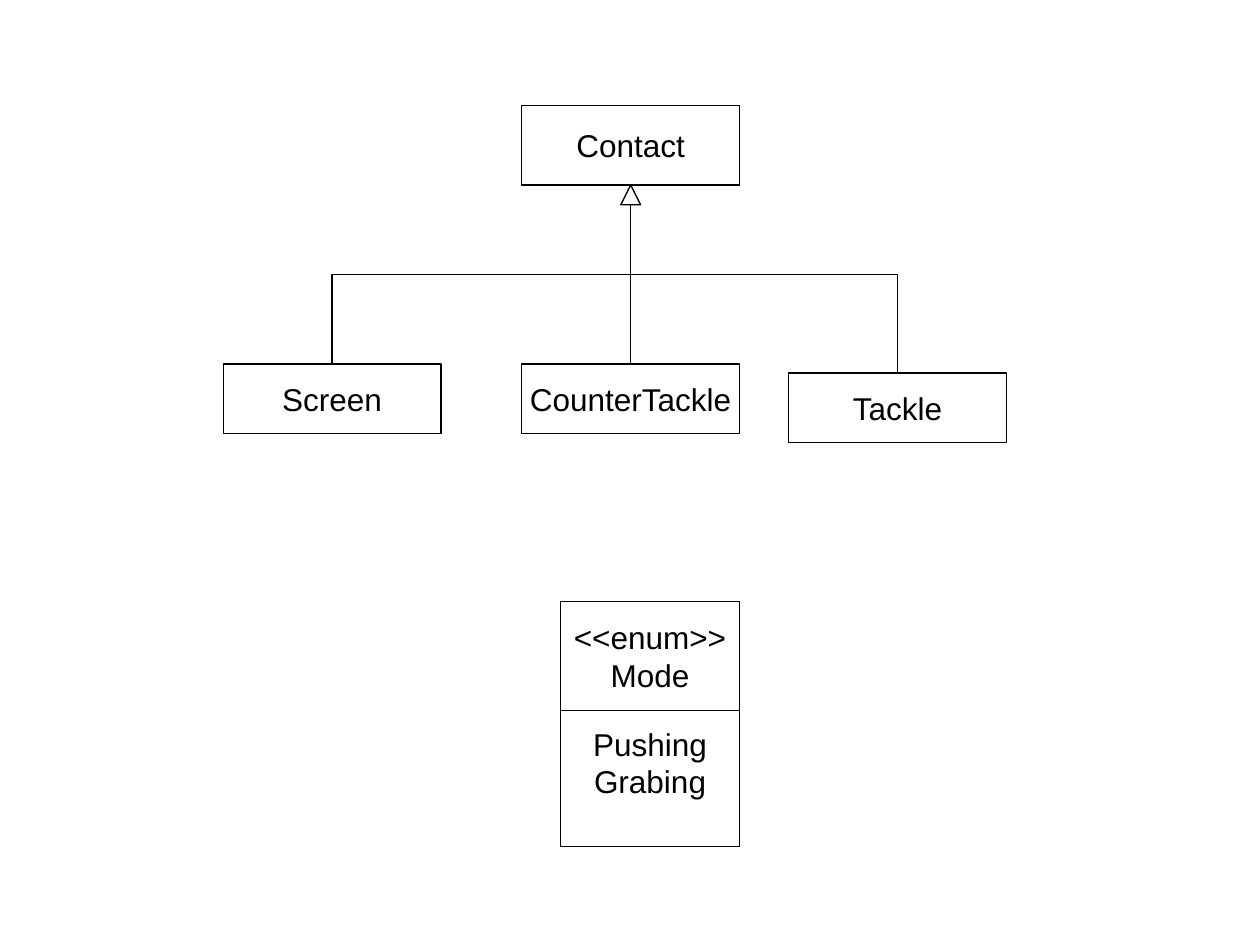
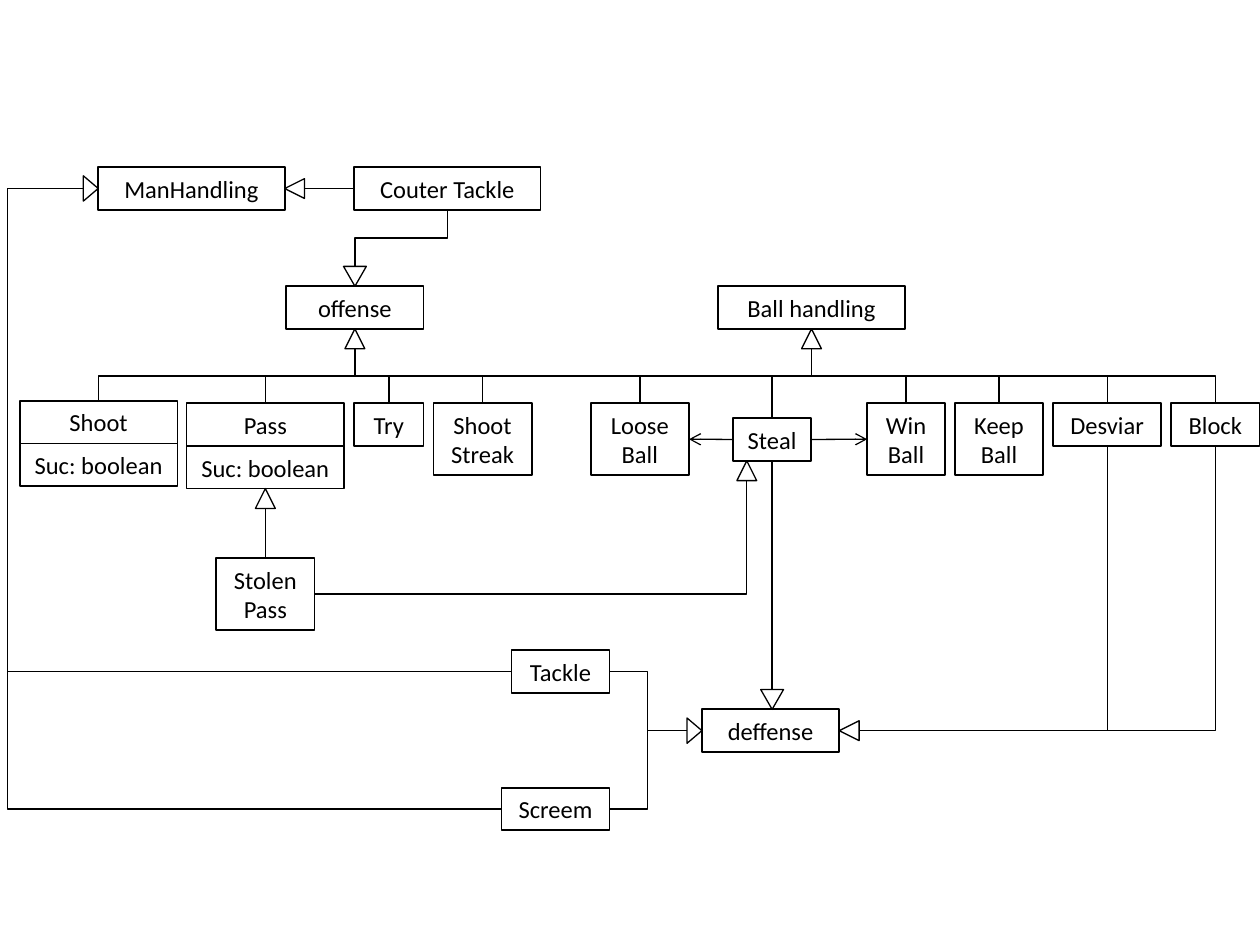
from collections import namedtuple
from dataclasses import dataclass

from lxml.etree import SubElement
from pptx import Presentation
from pptx.dml.color import RGBColor
from pptx.enum.shapes import MSO_CONNECTOR as LINE, MSO_SHAPE as SHAPE
from pptx.enum.text import MSO_ANCHOR as ANCHOR, MSO_AUTO_SIZE as FIT, PP_ALIGN as ALIGN
from pptx.oxml.ns import qn
from pptx.util import Cm, Pt

TOP, LEFT, BOTTOM, RIGHT = range(4)
OUTWARD = {TOP: (0, -1), LEFT: (-1, 0), BOTTOM: (0, 1), RIGHT: (1, 0)}

# Arrowhead on each side of a class box: rotation, base and height
HEADS = {
    TOP: (180, Cm(0.46), Cm(0.4)),
    LEFT: (90, Cm(0.51), Cm(0.3)),
    BOTTOM: (0, Cm(0.4), Cm(0.4)),
    RIGHT: (270, Cm(0.4), Cm(0.4)),
}

Style = namedtuple("Style", "font size border fill wrap fit")
Point = namedtuple("Point", "x y")


@dataclass(frozen=True)
class Theme:
    ink = RGBColor(0, 0, 0)
    paper = RGBColor(255, 255, 255)
    line = Pt(0.75)
    contact = Style("Arial", Pt(18), Pt(0.75), paper, False, FIT.NONE)
    action = Style("Calibri", Pt(14), Pt(1), None, True, FIT.SHAPE_TO_FIT_TEXT)
    one_line, two_lines = Cm(0.86), Cm(1.45)
    gap = Cm(0.2)


THEME = Theme()


def paint(sp, fill, border):
    sp.shadow.inherit = False
    if fill is None:
        sp.fill.background()
    else:
        sp.fill.solid()
        sp.fill.fore_color.rgb = fill
    sp.line.color.rgb = THEME.ink
    sp.line.width = border


def class_box(slide, left, top, width, height, text, style):
    sp = slide.shapes.add_shape(SHAPE.RECTANGLE, left, top, width, height)
    paint(sp, style.fill, style.border)
    tf = sp.text_frame
    tf.text = text
    tf.word_wrap = style.wrap
    tf.auto_size = style.fit
    tf.vertical_anchor = ANCHOR.MIDDLE
    for p in tf.paragraphs:
        p.alignment = ALIGN.CENTER
        for r in p.runs:
            r.font.name = style.font
            r.font.size = style.size
            r.font.color.rgb = THEME.ink
    return sp


def action_box(slide, left, top, width, text, lines=1):
    height = THEME.one_line if lines == 1 else THEME.two_lines
    return class_box(slide, left, top, width, height, text, THEME.action)


def action_row(slide, left, top, entries):
    """Place (text, width, lines) entries side by side with an equal gap."""
    boxes = []
    for text, width, lines in entries:
        boxes.append(action_box(slide, left, top, width, text, lines))
        left += width + THEME.gap
    return boxes


def action_with_result(slide, left, top, name):
    """Stack a class name on its attribute; return both boxes."""
    return [action_box(slide, left, top + i * THEME.one_line, Cm(3.18), text)
            for i, text in enumerate((name, "Suc: boolean"))]


def side_middle(sp, side):
    dx, dy = OUTWARD[side]
    return Point(sp.left + sp.width * (1 + dx) // 2, sp.top + sp.height * (1 + dy) // 2)


def head(slide, parent, side, shift=0, shape=SHAPE.ISOSCELES_TRIANGLE, fill=None):
    """Put an inheritance arrowhead on a side of parent; return its base point."""
    rotation, width, height = HEADS[side]
    dx, dy = OUTWARD[side]
    tip = side_middle(parent, side)
    x, y = tip.x + shift + dx * height // 2, tip.y + dy * height // 2
    sp = slide.shapes.add_shape(shape, x - width // 2, y - height // 2, width, height)
    sp.rotation = rotation
    paint(sp, fill, THEME.line)
    return Point(tip.x + shift + dx * height, tip.y + dy * height)


def connector(slide, kind, start, end, arrow=None):
    cxn = slide.shapes.add_connector(kind, *start, *end)
    cxn.line.color.rgb = THEME.ink
    cxn.line.width = THEME.line
    if arrow:
        SubElement(cxn.line._get_or_add_ln(), qn("a:tailEnd"), type=arrow)
    SubElement(cxn._element.spPr, qn("a:effectLst"))
    return cxn


def straight(slide, box, side, end, arrow=None):
    """Join the middle of a box's side to a point, or to a (box, side) pair."""
    joined = not isinstance(end, Point)
    target = side_middle(*end) if joined else end
    cxn = connector(slide, LINE.STRAIGHT, side_middle(box, side), target, arrow)
    cxn.begin_connect(box, side)
    if joined:
        cxn.end_connect(*end)


def bend_at(cxn, share):
    cxn._element.spPr.prstGeom.rewrite_guides([("adj1", round(share * 100000))])


def across_elbow(slide, start, end, via_x):
    """Run horizontally to via_x, then vertically, then horizontally."""
    cxn = connector(slide, LINE.ELBOW, start, end)
    bend_at(cxn, (via_x - start.x) / (end.x - start.x))


def down_elbow(slide, start, end, via_y, arrow=None):
    """Run vertically to via_y, then horizontally, then vertically."""
    cxn = connector(slide, LINE.ELBOW, start, end, arrow)
    dx, dy = end.x - start.x, end.y - start.y
    cxn.width, cxn.height = abs(dy), abs(dx)
    cxn.left = (start.x + end.x - abs(dy)) // 2
    cxn.top = (start.y + end.y - abs(dx)) // 2
    xfrm = cxn._element.spPr.xfrm
    xfrm.rot = 90 if dy > 0 else 270
    xfrm.flipH = False
    xfrm.flipV = (dx > 0) == (dy > 0)
    bend_at(cxn, (via_y - start.y) / dy)


def corner(slide, start, end):
    """Run horizontally, then vertically, with one bend."""
    cxn = connector(slide, LINE.ELBOW, start, end)
    cxn._element.spPr.prstGeom.set("prst", "bentConnector2")


def branch(slide, base, children, bus_y):
    for child in children:
        down_elbow(slide, base, side_middle(child, TOP), bus_y)


def contact_hierarchy(slide, left, top):
    def box(x, y, height, text):
        return class_box(slide, left + Cm(x), top + Cm(y), Cm(4.39), Cm(height), text, THEME.contact)

    contact = box(6.02, 0, 1.6, "Contact")
    screen = box(0, 5.21, 1.4, "Screen")
    tackle = box(11.4, 5.39, 1.4, "Tackle")
    counter = box(6.02, 5.21, 1.4, "CounterTackle")
    for child in (screen, tackle):
        down_elbow(slide, side_middle(child, TOP), side_middle(contact, BOTTOM),
                   top + Cm(3.4), "triangle")
    straight(slide, counter, TOP, (contact, BOTTOM), "triangle")
    head(slide, contact, BOTTOM, shape=SHAPE.FLOWCHART_EXTRACT, fill=THEME.paper)


def mode_enum(slide, left, top):
    width, name_height = Cm(3.61), Cm(2.21)
    class_box(slide, left, top, width, name_height, "<<enum>>\nMode", THEME.contact)
    values = class_box(slide, left, top + name_height, width, Cm(2.74),
                       "Pushing\nGrabing", THEME.contact)
    values.text_frame.vertical_anchor = ANCHOR.TOP
    values.text_frame.margin_top = Cm(0.28)


def offense_region(slide, left, top, bus_y):
    """Draw the offensive actions; return what other regions link to."""
    man = action_box(slide, left + Cm(1.58), top, Cm(3.76), "ManHandling")
    counter = action_box(slide, left + Cm(6.74), top, Cm(3.76), "Couter Tackle")
    offense = action_box(slide, left + Cm(5.37), top + Cm(2.4), Cm(2.77), "offense")
    row_top = top + Cm(4.76)
    shoot, _ = action_with_result(slide, left, top + Cm(4.71), "Shoot")
    passing, result = action_with_result(slide, left + Cm(3.36), row_top, "Pass")
    row = action_row(slide, left + Cm(6.74), row_top,
                     [("Try", Cm(1.4), 1), ("Shoot Streak", Cm(1.98), 2)])
    stolen = action_box(slide, left + Cm(3.96), top + Cm(7.88), Cm(1.98), "Stolen Pass", 2)

    straight(slide, counter, LEFT, head(slide, man, RIGHT))
    start, end = side_middle(counter, BOTTOM), head(slide, offense, TOP)
    down_elbow(slide, start, end, (start.y + end.y) // 2)
    base = head(slide, offense, BOTTOM)
    branch(slide, base, [shoot, passing, *row], bus_y)
    straight(slide, stolen, TOP, head(slide, result, BOTTOM))
    return man, base, stolen


def ball_region(slide, left, top, bus_y):
    """Draw the ball handling actions; return what other regions link to."""
    ball = action_box(slide, left + Cm(2.57), top, Cm(3.76), "Ball handling")
    row_top = top + Cm(2.36)
    loose = action_box(slide, left, row_top, Cm(1.98), "Loose Ball", 2)
    steal = action_box(slide, left + Cm(2.87), top + Cm(2.66), Cm(1.57), "Steal")
    row = action_row(slide, left + Cm(5.57), row_top, [
        ("Win Ball", Cm(1.57), 2), ("Keep Ball", Cm(1.78), 2),
        ("Desviar", Cm(2.18), 1), ("Block", Cm(1.78), 1)])
    win, _, desviar, block = row

    branch(slide, head(slide, ball, BOTTOM), [loose, steal, *row], bus_y)
    straight(slide, steal, RIGHT, (win, LEFT), "arrow")
    straight(slide, steal, LEFT, (loose, RIGHT), "arrow")
    return loose, steal, desviar, block


def defense_region(slide, left, top):
    """Draw the defensive actions; return what other regions link to."""
    tackle = action_box(slide, left + Cm(0.2), top, Cm(1.98), "Tackle")
    screen = action_box(slide, left, top + Cm(2.77), Cm(2.18), "Screem")
    defense = action_box(slide, left + Cm(4.04), top + Cm(1.19), Cm(2.77), "deffense")

    base = head(slide, defense, LEFT)
    for child in (tackle, screen):
        across_elbow(slide, base, side_middle(child, RIGHT), left + Cm(2.95))
    return tackle, screen, defense


def contact_slide(prs):
    slide = prs.slides.add_slide(prs.slide_layouts[6])
    mode_enum(slide, Cm(11.3), Cm(12.12))
    contact_hierarchy(slide, Cm(4.5), Cm(2.13))


def action_slide(prs):
    slide = prs.slides.add_slide(prs.slide_layouts[6])
    bus_y = Cm(7.58)
    man, offense_base, stolen = offense_region(slide, Cm(0.4), Cm(3.37), bus_y)
    loose, steal, desviar, block = ball_region(slide, Cm(11.91), Cm(5.77), bus_y)
    tackle, screen, defense = defense_region(slide, Cm(10.11), Cm(13.11))

    branch(slide, offense_base, [loose], bus_y)
    corner(slide, side_middle(stolen, RIGHT), head(slide, steal, BOTTOM, Cm(-0.51)))
    straight(slide, steal, BOTTOM, head(slide, defense, TOP, Cm(0.03)))
    base = head(slide, defense, RIGHT)
    for child in (desviar, block):
        corner(slide, base, side_middle(child, BOTTOM))
    base = head(slide, man, LEFT)
    for child in (tackle, screen):
        across_elbow(slide, base, side_middle(child, LEFT), Cm(0.15))


def main():
    prs = Presentation()
    prs.slide_width, prs.slide_height = Cm(25.4), Cm(19.05)
    contact_slide(prs)
    action_slide(prs)
    prs.save("out.pptx")


if __name__ == "__main__":
    main()
